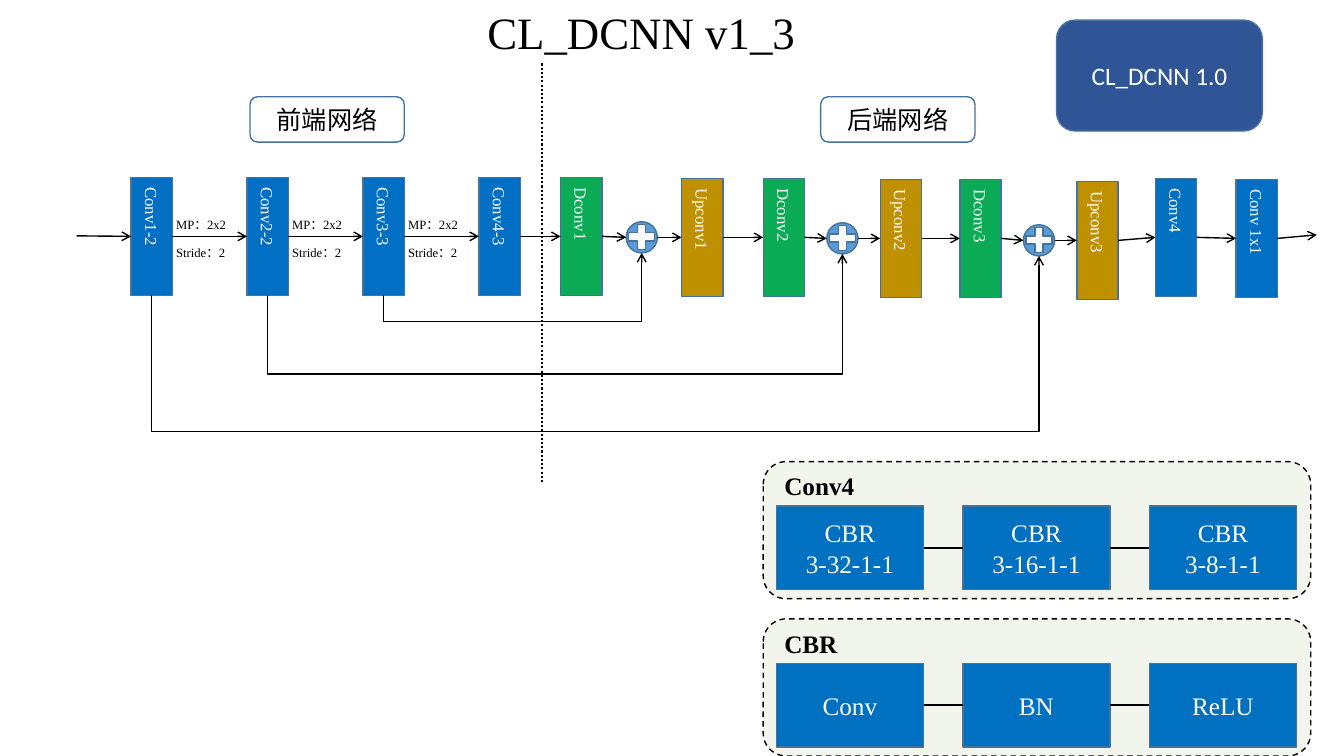
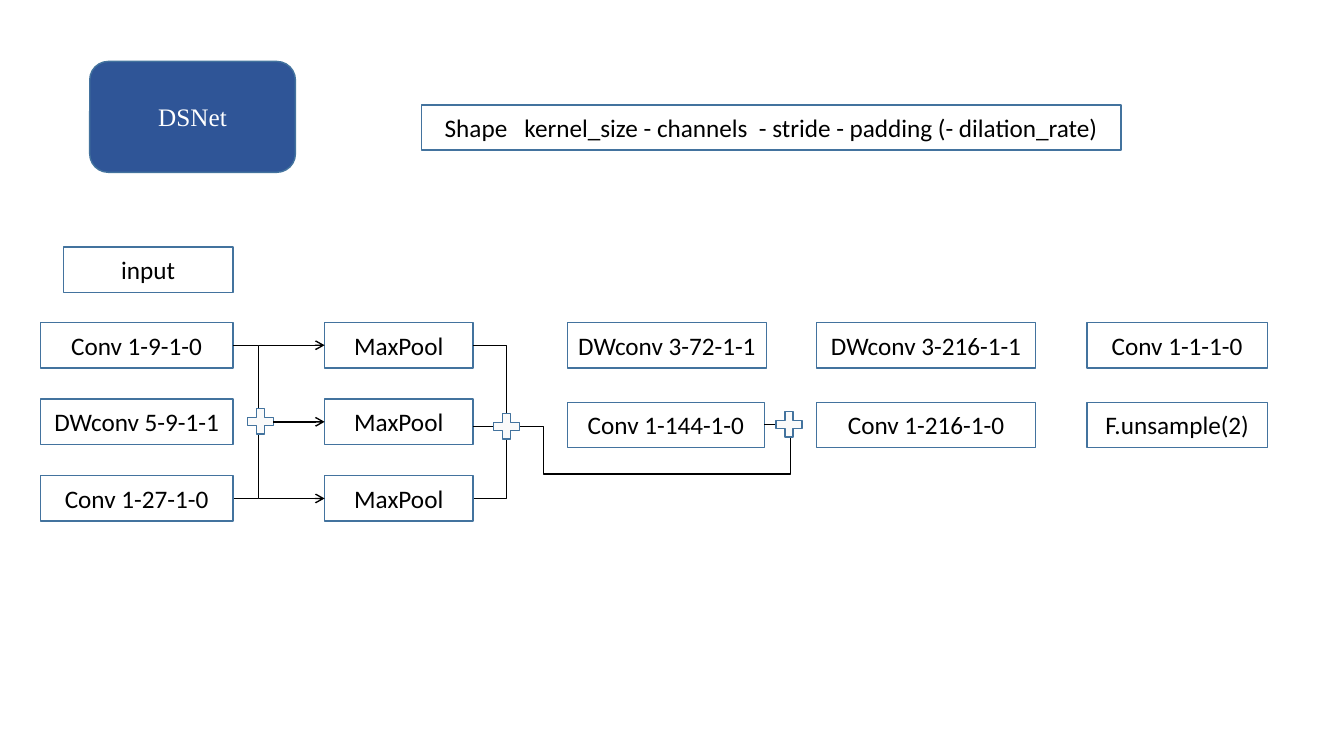
"""Build two slides of network architecture diagrams."""
import pptx
import pptx.util
import pptx.dml.color
import pptx.enum.dml
import pptx.enum.shapes
import pptx.enum.text
import pptx.oxml.ns
from lxml import etree

Inches = pptx.util.Inches
SHAPE = pptx.enum.shapes.MSO_SHAPE
LINK = pptx.enum.shapes.MSO_CONNECTOR
DASH = pptx.enum.dml.MSO_LINE
ALIGN = pptx.enum.text.PP_ALIGN
TOP, LEFT, BOTTOM, RIGHT = range(4)

THEME = {
    "conv": "006FC4", "cbr": "0070C0", "dconv": "0BAA55", "upconv": "BF9000",
    "sum": "5B9BD5", "plus": "FAFAFA", "badge": "2F5597", "panel": "F1F5EB",
    "edge": "43739E", "ink": "000000", "paper": "FFFFFF",
    "serif": "Times New Roman", "sans": "Calibri",
    "title": 32, "body": 18, "block": 12, "note": 9,
}

BLOCK_W, BLOCK_H, SUM_D = 0.41, 1.17, 0.31
CHAIN = [
    ("Conv1-2", 1.3, 1.76, "conv"), ("Conv2-2", 2.45, 1.76, "conv"),
    ("Conv3-3", 3.6, 1.76, "conv"), ("Conv4-3", 4.75, 1.76, "conv"),
    ("Dconv1", 5.56, 1.76, "dconv"), ("+", 6.21, 2.2, "sum"),
    ("Upconv1", 6.76, 1.77, "upconv"), ("Dconv2", 7.57, 1.77, "dconv"),
    ("+", 8.2, 2.21, "sum"), ("Upconv2", 8.73, 1.78, "upconv"),
    ("Dconv3", 9.52, 1.78, "dconv"), ("+", 10.15, 2.23, "sum"),
    ("Upconv3", 10.68, 1.8, "upconv"), ("Conv4", 11.46, 1.77, "cbr"),
    ("Conv 1x1", 12.26, 1.78, "conv"),
]
POOL_NOTES = [("MP：2x2", 2.1), ("Stride：2", 2.38)]
SKIPS = [(2, 5, 3.19), (1, 8, 3.71), (0, 11, 4.28)]
STAGES = [("前端网络", 2.48), ("后端网络", 8.14)]
PANELS = [
    ("Conv4", 4.58, ["CBR\n3-32-1-1", "CBR\n3-16-1-1", "CBR\n3-8-1-1"]),
    ("CBR", 6.14, ["Conv", "BN", "ReLU"]),
]

ROW_Y, ROW_STEP, BOX_H = 3.2, 0.76, 0.45
BRANCHES = ["Conv 1-9-1-0", "DWconv 5-9-1-1", "Conv 1-27-1-0"]
LAYERS = [
    ("DWconv 3-72-1-1", 5.63, 3.2, 1.97), ("Conv 1-144-1-0", 5.63, 3.99, 1.95),
    ("DWconv 3-216-1-1", 8.1, 3.2, 2.17), ("Conv 1-216-1-0", 8.1, 3.99, 2.17),
    ("Conv 1-1-1-0", 10.78, 3.2, 1.79), ("F.unsample(2)", 10.78, 3.99, 1.79),
    ("input", 0.63, 2.45, 1.68),
    ("Shape   kernel_size - channels  - stride - padding (- dilation_rate)", 4.18, 1.04, 6.94),
]


def rgb(name):
    return pptx.dml.color.RGBColor.from_string(THEME[name])


def write(sp, text, size, color, font="serif", align=ALIGN.CENTER, bold=False):
    p = sp.text_frame.paragraphs[0]
    p.alignment = align
    for i, line in enumerate(text.split("\n")):
        if i:
            p.add_line_break()
        r = p.add_run()
        r.text = line
        r.font.size = pptx.util.Pt(THEME[size])
        r.font.name = THEME[font]
        r.font.bold = bold
        r.font.color.rgb = rgb(color)


def shape(s, kind, x, y, w, h, fill=None, edge="edge"):
    sp = s.shapes.add_shape(kind, *map(Inches, (x, y, w, h)))
    sp.shadow.inherit = False
    if fill:
        sp.fill.solid()
        sp.fill.fore_color.rgb = rgb(fill)
    else:
        sp.fill.background()
    sp.line.color.rgb = rgb(edge)
    sp.line.width = pptx.util.Pt(1)
    return sp


def box(s, text, x, y, w, h, fill="paper", color="ink", font="sans", kind=SHAPE.RECTANGLE):
    sp = shape(s, kind, x, y, w, h, fill)
    sp.text_frame.word_wrap = False
    write(sp, text, "body", color, font)
    return sp


def badge(s, text, x, y, font):
    return box(s, text, x, y, 2.04, 1.1, "badge", "paper", font, SHAPE.ROUNDED_RECTANGLE)


def label(s, text, x, y, w, h, size, align=ALIGN.LEFT, bold=False):
    sp = s.shapes.add_textbox(*map(Inches, (x, y, w, h)))
    sp.text_frame.word_wrap = size != "note"
    write(sp, text, size, "ink", align=align, bold=bold)


def plus(s, x, y):
    return shape(s, SHAPE.MATH_PLUS, x, y, 0.35, 0.34, "plus")


def style_line(cx, width=1, arrow=False, dash=None):
    cx.line.color.rgb = rgb("ink")
    cx.line.width = pptx.util.Pt(width)
    if dash:
        cx.line.dash_style = dash
    if arrow:
        tail = etree.SubElement(cx.line._get_or_add_ln(), pptx.oxml.ns.qn("a:tailEnd"))
        tail.set("type", "arrow")
    etree.SubElement(cx._element.spPr, pptx.oxml.ns.qn("a:effectLst"))


def line(s, start, end, begin=None, finish=None, **style):
    cx = s.shapes.add_connector(LINK.STRAIGHT, *map(Inches, (*start, *end)))
    if begin is not None:
        cx.begin_connect(begin, RIGHT)
    if finish is not None:
        cx.end_connect(finish, LEFT)
    style_line(cx, **style)


def elbow(s, start, end, stops, turned=False, begin=None, finish=None, arrow=False):
    """Draw a bent connector whose stops alternate between the two axes."""
    cx = s.shapes.add_connector(LINK.ELBOW, 0, 0, 0, 0)
    if begin is not None:
        cx.begin_connect(*begin)
    if finish is not None:
        cx.end_connect(*finish)
    (x1, y1), (x2, y2) = start, end
    if turned:
        mx, my = (x1 + x2) / 2, (y1 + y2) / 2
        dx, dy = (y1 - y2) / 2, (x2 - x1) / 2
        x1, y1, x2, y2 = mx + dx, my + dy, mx - dx, my - dy
    cx.begin_x, cx.begin_y, cx.end_x, cx.end_y = map(Inches, (x1, y1, x2, y2))
    spPr = cx._element.spPr
    if turned:
        spPr.find(pptx.oxml.ns.qn("a:xfrm")).set("rot", "5400000")
    geom = spPr.find(pptx.oxml.ns.qn("a:prstGeom"))
    geom.set("prst", f"bentConnector{len(stops) + 2}")
    guides = geom.find(pptx.oxml.ns.qn("a:avLst"))
    for i, stop in enumerate(stops):
        axis = (i + turned) % 2
        ratio = (stop - start[axis]) / (end[axis] - start[axis])
        guide = etree.SubElement(guides, pptx.oxml.ns.qn("a:gd"))
        guide.set("name", f"adj{i + 1}")
        guide.set("fmla", f"val {round(ratio * 100000)}")
    style_line(cx, arrow=arrow)


def draw_chain(s):
    nodes = []
    for text, x, y, fill in CHAIN:
        if text == "+":
            shape(s, SHAPE.OVAL, x, y, SUM_D, SUM_D, fill)
            plus(s, x - 0.02, y - 0.02)
            nodes.append((None, x, x + SUM_D, y + SUM_D / 2))
        else:
            sp = shape(s, SHAPE.RECTANGLE, x, y, BLOCK_W, BLOCK_H, fill)
            sp.text_frame._txBody.bodyPr.set("vert", "eaVert")
            write(sp, text, "block", "paper")
            nodes.append((sp, x, x + BLOCK_W, y + BLOCK_H / 2))
    ends = [(None, 0, 0.76, 2.34), *nodes, (None, 13.06, 0, 2.33)]
    for (a, _, ax, ay), (b, bx, _, by) in zip(ends, ends[1:]):
        line(s, (ax, ay), (bx, by), a, b, arrow=True)
    for _, x, _, _ in CHAIN[:3]:
        for text, y in POOL_NOTES:
            label(s, text, x + 0.35, y, 0.76, 0.25, "note")
    for source, target, depth in SKIPS:
        sp, x, _, y = nodes[source]
        _, tx, _, ty = nodes[target]
        elbow(s, (x + BLOCK_W / 2, y + BLOCK_H / 2), (tx + SUM_D / 2, ty + SUM_D / 2),
              [depth], True, (sp, BOTTOM), arrow=True)


def draw_panel(s, name, y, parts):
    frame = shape(s, SHAPE.ROUNDED_RECTANGLE, 7.57, y, 5.43, 1.36, "panel", "ink")
    frame.line.dash_style = DASH.DASH
    label(s, name, 7.68, y + 0.04, 1.88, 0.4, "body", bold=True)
    cells = [box(s, text, 7.7 + 1.85 * i, y + 0.44, 1.46, 0.83, "cbr", "paper", "serif")
             for i, text in enumerate(parts)]
    for a, b in zip(cells, cells[1:]):
        line(s, (0, 0), (0, 0), a, b, width=1.5)


def dcnn_slide(s):
    draw_chain(s)
    line(s, (5.38, 0.63), (5.38, 4.78), width=1.5, dash=DASH.ROUND_DOT)
    for text, x in STAGES:
        box(s, text, x, 0.96, 1.53, 0.45, None, "ink", "serif", SHAPE.ROUNDED_RECTANGLE)
    for panel in PANELS:
        draw_panel(s, *panel)
    label(s, "CL_DCNN v1_3", 3.25, 0, 6.22, 0.64, "title", ALIGN.CENTER)
    badge(s, "CL_DCNN 1.0", 10.48, 0.2, "sans")


def dsnet_slide(s):
    badge(s, "DSNet", 0.89, 0.61, "serif")
    rows = [ROW_Y + ROW_STEP * i for i in range(len(BRANCHES))]
    mids = [y + BOX_H / 2 for y in rows]
    convs = [box(s, text, 0.4, y, 1.91, BOX_H) for text, y in zip(BRANCHES, rows)]
    pools = [box(s, "MaxPool", 3.22, y, 1.47, BOX_H) for y in rows]
    layers = [box(s, *layer, BOX_H) for layer in LAYERS]
    for column, x, bend in ((convs, 2.31, 2.57), (pools, 4.69, 5.03)):
        elbow(s, (x, mids[0]), (x + 0.01, mids[-1]), [bend],
              begin=(column[0], RIGHT), finish=(column[-1], RIGHT))
    line(s, (4.69, 4.23), (5, 4.23))
    elbow(s, (5.15, 4.23), (7.58, 4.21), [5.39, 4.7, 7.84], finish=(layers[1], RIGHT))
    for x, y in ((2.41, 4.01), (4.85, 4.06), (7.65, 4.04)):
        plus(s, x, y)
    for x, y, pool in zip((2.57, 2.71, 2.57), mids, pools):
        line(s, (x, y), (3.22, y), finish=pool, arrow=True)


def main():
    prs = pptx.Presentation()
    prs.slide_width, prs.slide_height = Inches(13.33), Inches(7.5)
    for draw in (dcnn_slide, dsnet_slide):
        draw(prs.slides.add_slide(prs.slide_layouts[6]))
    prs.save("out.pptx")


if __name__ == "__main__":
    main()
